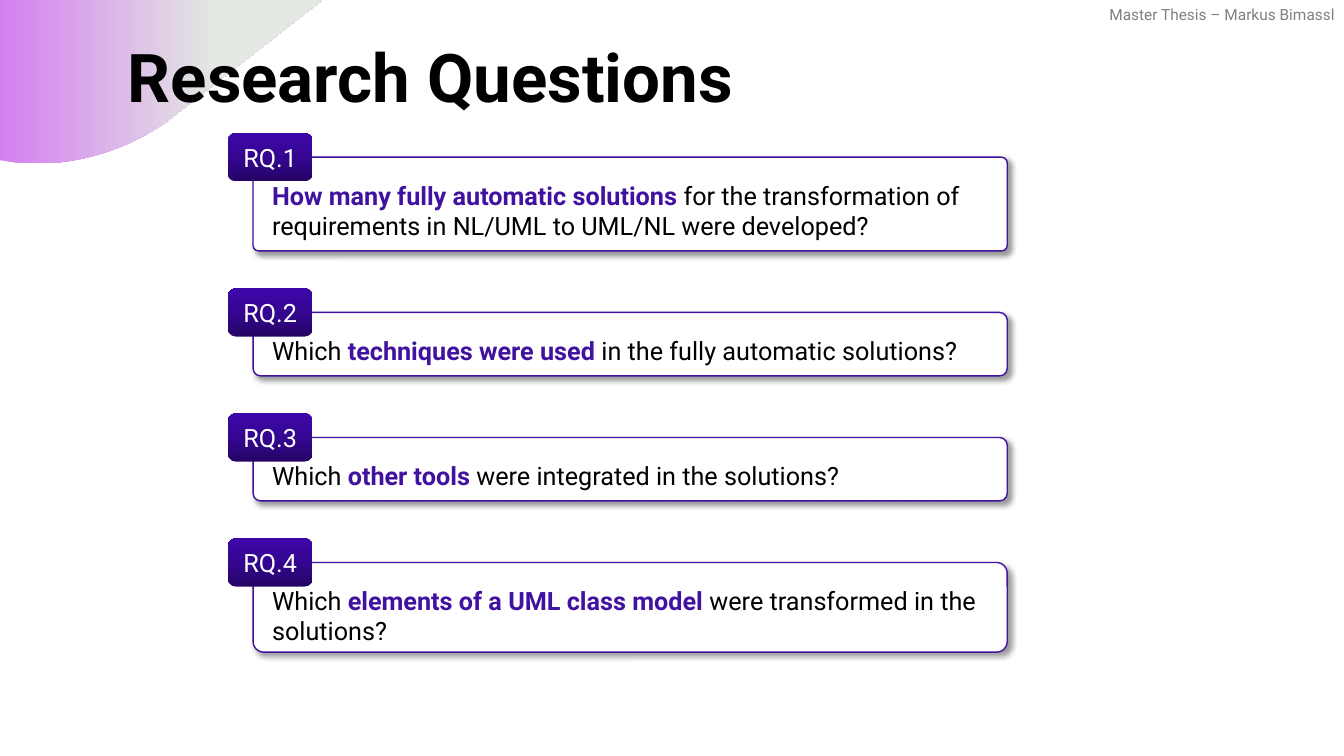
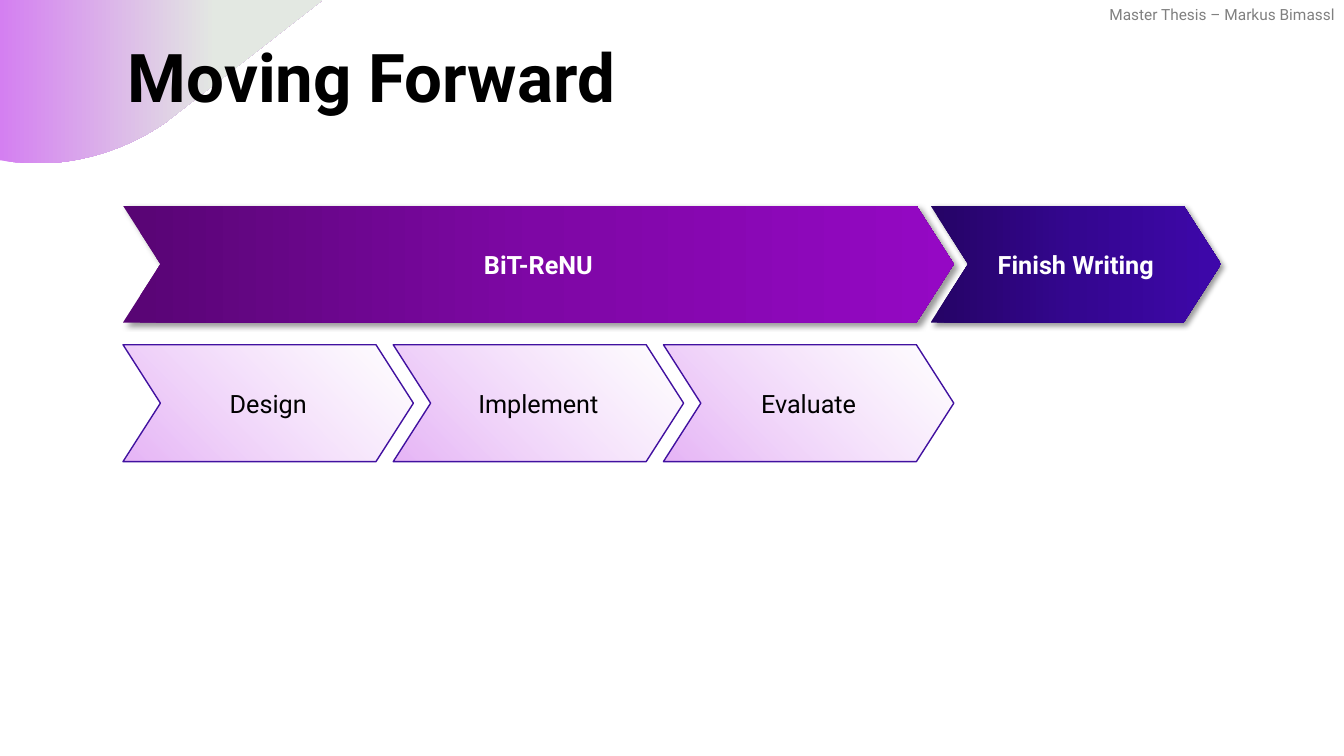
"""Build two thesis slides: research questions and next steps."""
from lxml.etree import SubElement
from pptx import Presentation
from pptx.dml.color import RGBColor
from pptx.enum.shapes import MSO_SHAPE
from pptx.enum.text import MSO_ANCHOR, PP_ALIGN
from pptx.oxml import parse_xml
from pptx.oxml.ns import nsdecls, qn
from pptx.util import Inches, Pt

FONT = "Roboto"
BLACK, WHITE, GREY, INDIGO = "000000", "FFFFFF", "808080", "4111A0"
HEADER = "Master Thesis – Markus Bimassl"

INDIGO_FADE = [(0, "250465", 100), (50, "340690", 100), (100, "3E07AA", 100)]
PURPLE_FADE = [(0, "580574", 100), (50, "7E07A5", 100), (100, "9508C4", 100)]
PALE_FADE = [(0, "DF9FF4", 78), (100, "EABFF8", 0)]
CORNER_FADE = [(0, "D47FF1", 100), (67, "E3E8E2", 100)]

CORNER_LINES = [(0, 0), (3.2, 0), (1.7, 1.17), (1.65, 1.21)]
CORNER_CURVES = [
    [(1.65, 1.21), (1.29, 1.46), (0.88, 1.6), (0.46, 1.62)],
    [(0.46, 1.62), (0.42, 1.62), (0.37, 1.62), (0.33, 1.62)],
    [(0.33, 1.62), (0.27, 1.62), (0.21, 1.61), (0.15, 1.61)],
]
CORNER_END = (0, 1.59)
CURVE_STEPS = 16

QUESTIONS = [
    (0.93, 0.06, [("How many fully automatic solutions ", True),
                  ("for the transformation of requirements in NL/UML to UML/NL were developed?", False)]),
    (0.63, 0.12, [("Which ", False), ("techniques were used ", True),
                  ("in the fully automatic solutions?", False)]),
    (0.63, 0.12, [("Which ", False), ("other tools ", True),
                  ("were integrated in the solutions?", False)]),
    (0.89, 0.12, [("Which ", False), ("elements of a UML class model ", True),
                  ("were transformed in the solutions?", False)]),
]
TAG_LEFT, TAG_TOP, TAG_W, TAG_H = 2.26, 1.32, 0.84, 0.48
BOX_LEFT, BOX_W, QUESTION_GAP = 2.51, 7.48, 0.37

PHASES = ["Design", "Implement", "Evaluate"]
PHASE_LEFT, PHASE_W, PHASE_PITCH = 1.22, 2.88, 2.68
STAGE_TOP, PHASE_TOP, CHEVRON_H = 2.04, 3.42, 1.16
STAGES_W = PHASE_PITCH * (len(PHASES) - 1) + PHASE_W
STAGES = [
    ("Finish Writing", 9.23, PHASE_W, INDIGO_FADE),
    ("BiT-ReNU", PHASE_LEFT, STAGES_W, PURPLE_FADE),
]


def rgb(value):
    return RGBColor.from_string(value)


def set_gradient(sp, stops, angle):
    fill = parse_xml(f"<a:gradFill {nsdecls('a')} rotWithShape='1'/>")
    stop_list = SubElement(fill, qn("a:gsLst"))
    for pos, colour, alpha in stops:
        gs = SubElement(stop_list, qn("a:gs"), pos=str(pos * 1000))
        clr = SubElement(gs, qn("a:srgbClr"), val=colour)
        if alpha < 100:
            SubElement(clr, qn("a:alpha"), val=str(alpha * 1000))
    SubElement(fill, qn("a:lin"), ang=str(angle * 60000), scaled="0")
    sp._element.spPr.insert(2, fill)


def set_shadow(sp):
    effects = sp._element.spPr.find(qn("a:effectLst"))
    shadow = SubElement(effects, qn("a:outerShdw"), blurRad=str(Pt(4)), dist=str(Pt(3)),
                        dir=str(45 * 60000), algn="tl", rotWithShape="0")
    clr = SubElement(shadow, qn("a:srgbClr"), val=BLACK)
    SubElement(clr, qn("a:alpha"), val="40000")


def add_runs(sp, runs, size=18, align=PP_ALIGN.LEFT, anchor=MSO_ANCHOR.TOP, wrap=True):
    tf = sp.text_frame
    tf.word_wrap, tf.vertical_anchor = wrap, anchor
    p = tf.paragraphs[0]
    p.alignment = align
    for text, colour, bold in runs:
        r = p.add_run()
        r.text = text
        r.font.name, r.font.size, r.font.bold = FONT, Pt(size), bold
        r.font.color.rgb = rgb(colour)
    return p


def add_text(s, box, runs, **style):
    return add_runs(s.shapes.add_textbox(*map(Inches, box)), runs, **style)


def add_panel(s, kind, box, fade=None, angle=0, line=None, adj=None, shadow=False):
    sp = s.shapes.add_shape(kind, *map(Inches, box))
    sp.shadow.inherit = False
    if adj is not None:
        sp.adjustments[0] = adj
    if fade:
        set_gradient(sp, fade, angle)
    else:
        sp.fill.solid()
        sp.fill.fore_color.rgb = rgb(WHITE)
    if line:
        sp.line.color.rgb = rgb(line)
        sp.line.width = Pt(1)
    else:
        sp.line.fill.background()
    if shadow:
        set_shadow(sp)
    return sp


def curve_points(curve):
    for step in range(1, CURVE_STEPS + 1):
        t = step / CURVE_STEPS
        weights = ((1 - t) ** 3, 3 * t * (1 - t) ** 2, 3 * t * t * (1 - t), t ** 3)
        yield tuple(sum(w * pt[axis] for w, pt in zip(weights, curve)) for axis in (0, 1))


def add_corner(s):
    points = CORNER_LINES + [pt for c in CORNER_CURVES for pt in curve_points(c)] + [CORNER_END]
    points = [(Inches(x), Inches(y)) for x, y in points]
    builder = s.shapes.build_freeform(*points[0])
    builder.add_line_segments(points[1:], close=True)
    sp = builder.convert_to_shape()
    sp.shadow.inherit = False
    set_gradient(sp, CORNER_FADE, 0)
    sp.line.fill.background()


def add_slide(prs, title):
    s = prs.slides.add_slide(prs.slide_layouts[6])
    add_text(s, (10.83, 0, 2.51, 0.29), [(HEADER, GREY, False)], size=11,
             align=PP_ALIGN.RIGHT, wrap=False)
    add_corner(s)
    p = add_text(s, (1.17, 0.17, 9.72, 1.04), [(title, BLACK, True)], size=48,
                 anchor=MSO_ANCHOR.BOTTOM)
    p.line_spacing = 0.9
    return s


def add_questions(s):
    top = TAG_TOP
    for number, (height, adj, parts) in enumerate(QUESTIONS, 1):
        box_top = top + TAG_H / 2
        add_panel(s, MSO_SHAPE.ROUNDED_RECTANGLE, (BOX_LEFT, box_top, BOX_W, height),
                  line=INDIGO, adj=adj, shadow=True)
        tag = add_panel(s, MSO_SHAPE.ROUNDED_RECTANGLE, (TAG_LEFT, top, TAG_W, TAG_H),
                        INDIGO_FADE, 270)
        add_runs(tag, [(f"RQ.{number}", WHITE, False)], align=PP_ALIGN.CENTER,
                 anchor=MSO_ANCHOR.MIDDLE)
        runs = [(text, INDIGO if key else BLACK, key) for text, key in parts]
        add_text(s, (BOX_LEFT + 0.09, top + 0.42, BOX_W - 0.09, height - 0.22), runs)
        top = box_top + height + QUESTION_GAP


def add_chevron(s, text, box, colour, bold, **look):
    sp = add_panel(s, MSO_SHAPE.CHEVRON, box, adj=0.32, **look)
    add_runs(sp, [(text, colour, bold)], align=PP_ALIGN.CENTER, anchor=MSO_ANCHOR.MIDDLE)


def add_roadmap(s):
    for i, phase in enumerate(PHASES):
        add_chevron(s, phase, (PHASE_LEFT + i * PHASE_PITCH, PHASE_TOP, PHASE_W, CHEVRON_H),
                    BLACK, False, fade=PALE_FADE, angle=315, line=INDIGO)
    for stage, left, width, fade in STAGES:
        add_chevron(s, stage, (left, STAGE_TOP, width, CHEVRON_H),
                    WHITE, True, fade=fade, shadow=True)


def main():
    prs = Presentation()
    prs.slide_width, prs.slide_height = Inches(13.33), Inches(7.5)
    add_questions(add_slide(prs, "Research Questions"))
    add_roadmap(add_slide(prs, "Moving Forward"))
    prs.save("out.pptx")


if __name__ == "__main__":
    main()
